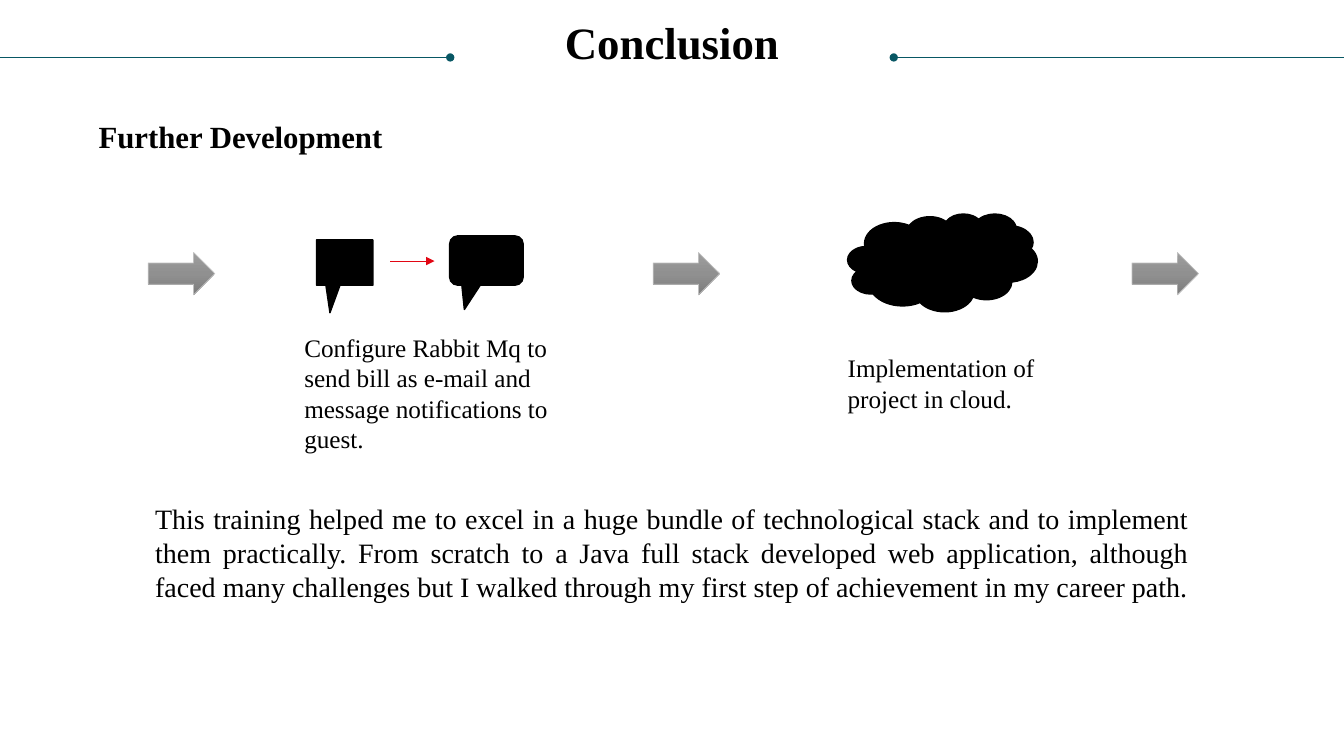
import copy
import pptx
import pptx.util
import pptx.dml.color
import pptx.enum.shapes
import pptx.enum.text
import pptx.oxml

RGBColor = pptx.dml.color.RGBColor
BLACK = RGBColor(0x00, 0x00, 0x00)
TEAL = RGBColor(0x08, 0x57, 0x64)
RED = RGBColor(0xE2, 0x06, 0x13)
EDGE = RGBColor(0xBF, 0xBF, 0xBF)
GREYS = [RGBColor(0x9D, 0x9D, 0x9D), RGBColor(0x90, 0x90, 0x90), RGBColor(0x7C, 0x7C, 0x7C)]
FONT = "Times New Roman"
WIDE, HIGH = pptx.util.Inches(13.33), pptx.util.Inches(7.5)
KIND = pptx.enum.shapes.MSO_SHAPE
ALIGN = pptx.enum.text.PP_ALIGN


def place(box, left, top, width, height):
    """Turn percent offsets inside a percent box into slide lengths."""
    x, y = box[0] + left, box[1] + top
    return [int(share * full / 100) for share, full in
            ((x, WIDE), (y, HIGH), (width, WIDE), (height, HIGH))]


def write(slide, spot, words, size, bold=False, align=ALIGN.LEFT):
    """Add a wrapped text box and return its frame."""
    frame = slide.shapes.add_textbox(*spot).text_frame
    frame.word_wrap = True
    frame.auto_size = pptx.enum.text.MSO_AUTO_SIZE.SHAPE_TO_FIT_TEXT
    frame.text = words
    para = frame.paragraphs[0]
    para.alignment = align
    font = para.runs[0].font
    font.name, font.size, font.bold = FONT, pptx.util.Pt(size), bold
    font.color.rgb = BLACK
    return frame


def rule(slide, spot, color, end, mark):
    """Draw a level line with a mark at its head or tail."""
    x, y, width, _ = spot
    line = slide.shapes.add_connector(
        pptx.enum.shapes.MSO_CONNECTOR.STRAIGHT, x, y, x + width, y)
    line.line.color.rgb = color
    line.line.width = pptx.util.Pt(0.5)
    tip = pptx.oxml.parse_xml(
        f'<a:{end} xmlns:a="http://schemas.openxmlformats.org/drawingml/2006/main" type="{mark}"/>')
    line.line._get_or_add_ln().append(tip)
    line._element.spPr.append(pptx.oxml.parse_xml(
        '<a:effectLst xmlns:a="http://schemas.openxmlformats.org/drawingml/2006/main"/>'))


def solid(slide, kind, spot, bends=()):
    """Add a black shape with its adjustments."""
    shape = slide.shapes.add_shape(kind, *spot)
    shape.shadow.inherit = False
    shape.fill.solid()
    shape.fill.fore_color.rgb = BLACK
    shape.line.color.rgb = BLACK
    shape.line.width = pptx.util.Pt(1)
    for index, bend in enumerate(bends):
        shape.adjustments[index] = bend


def arrow(slide, box):
    """Draw a grey block arrow that fills the box."""
    shape = slide.shapes.add_shape(KIND.RIGHT_ARROW, *place(box, 0, 0, *box[2:]))
    shape.shadow.inherit = False
    shape.line.color.rgb = EDGE
    shape.line.width = pptx.util.Pt(0.5)
    shape.fill.gradient()
    shape.fill.gradient_angle = 270
    first = shape._element.spPr.xpath(".//a:gs")[0]
    first.addnext(copy.deepcopy(first))
    for index, stop in enumerate(shape.fill.gradient_stops):
        stop.position = index / 2
        stop.color.rgb = GREYS[index]


def header(slide, box):
    """Draw the title between two dotted rules."""
    width = box[2]
    reach = width * 0.335
    rule(slide, place(box, 0, 7.6, reach, 0), TEAL, "tailEnd", "oval")
    rule(slide, place(box, width - reach, 7.6, reach, 0), TEAL, "headEnd", "oval")
    frame = write(slide, place(box, 1.88, 2.8, width - 3.76, 6.4),
                  "Conclusion", 32, True, ALIGN.CENTER)
    frame.margin_left = frame.margin_right = frame.margin_top = frame.margin_bottom = 0
    frame.paragraphs[0].line_spacing = 0.9


def message(slide, box):
    """Draw two linked speech bubbles above their caption."""
    solid(slide, KIND.RECTANGULAR_CALLOUT, place(box, 1.65, 0.53, 4.2, 6), (-0.261, 1.107))
    solid(slide, KIND.ROUNDED_RECTANGULAR_CALLOUT, place(box, 11.55, 0, 5.48, 6.53),
          (-0.299, 0.993, 0.167))
    rule(slide, place(box, 7.13, 3.33, 3.3, 0), RED, "tailEnd", "triangle")
    write(slide, place(box, 0, 12.13, box[2], 17.47),
          "Configure Rabbit Mq to send bill as e-mail and message notifications to guest.", 18)


def hosting(slide, box):
    """Draw the cloud above its caption."""
    solid(slide, KIND.CLOUD, place(box, 0.75, 0, 14.1, 12.93))
    write(slide, place(box, 0, 17.73, box[2], 9.47),
          "Implementation of project in cloud.", 18)


def closing(slide, box):
    """Write the closing paragraph."""
    write(slide, place(box, 0, 0, *box[2:]),
          "This training helped me to excel in a huge bundle of technological stack and to "
          "implement them practically. From scratch to a Java full stack developed web "
          "application, although faced many challenges but I walked through my first step "
          "of achievement in my career path.", 20, align=ALIGN.JUSTIFY)


def main():
    """Build and save the slide."""
    deck = pptx.Presentation()
    deck.slide_width, deck.slide_height = WIDE, HIGH
    slide = deck.slides.add_slide(deck.slide_layouts[6])
    header(slide, (0, 0, 100, 12))
    write(slide, place((6.6, 14.93), 0, 0, 38.6, 6.27), "Further Development", 22, True)
    message(slide, (21.9, 31.2, 19.65, 29.6))
    hosting(slide, (62.33, 28.27, 20.1, 27.2))
    for left in (11.03, 48.6, 84.23):
        arrow(slide, (left, 33.4, 4.95, 5.6))
    closing(slide, (10.8, 65.73, 78.4, 14.8))
    deck.save("out.pptx")


if __name__ == "__main__":
    main()
